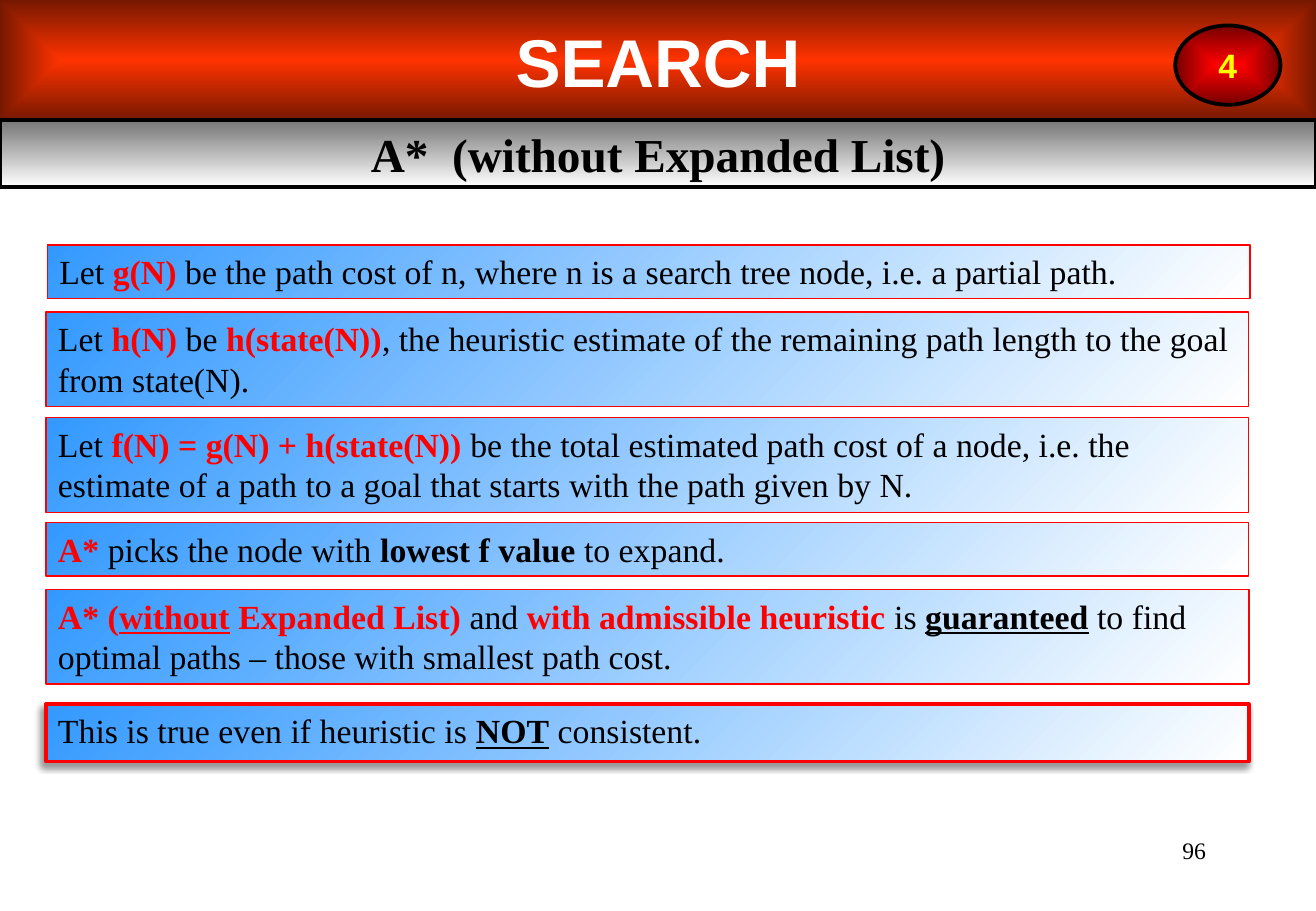
from dataclasses import dataclass

from lxml.etree import SubElement
from pptx import Presentation
from pptx.dml.color import RGBColor
from pptx.enum.shapes import MSO_SHAPE
from pptx.enum.text import MSO_ANCHOR, MSO_AUTO_SIZE, PP_ALIGN
from pptx.oxml.ns import qn
from pptx.util import Inches, Pt

COLORS = {
    "black": "000000", "white": "FFFFFF", "red": "FF0000", "yellow": "FFFF00",
    "orange": "FF3300", "rust": "761800", "maroon": "760000",
    "gray": "767676", "blue": "3399FF",
}
SERIF, SANS = "Times New Roman", "Arial"

presentation = Presentation()
presentation.slide_width, presentation.slide_height = Inches(10.83), Inches(7.5)
slide = presentation.slides.add_slide(presentation.slide_layouts[6])


@dataclass
class Area:
    """A place on the slide, in percent of its width and height."""
    left: float
    top: float
    width: float
    height: float

    def lengths(self) -> tuple:
        across, down = presentation.slide_width / 100, presentation.slide_height / 100
        return (int(self.left * across), int(self.top * down),
                int(self.width * across), int(self.height * down))


@dataclass
class Words:
    text: str
    color: str = "black"
    bold: bool = False
    underline: bool = False


@dataclass
class Gradient:
    start: str
    end: str
    angle: int | None = None  # counter-clockwise; None spreads from the centre


@dataclass
class Statement:
    top: float
    height: float
    runs: list[Words]
    left: float = 3.5
    line_width: float = 0.75
    shadow: bool = False


def rgb(name: str) -> RGBColor:
    return RGBColor.from_string(COLORS[name])


def write(shape, runs: list[Words], size: float, font: str, alignment=PP_ALIGN.LEFT) -> None:
    paragraph = shape.text_frame.paragraphs[0]
    paragraph.alignment = alignment
    for words in runs:
        run = paragraph.add_run()
        run.text = words.text
        run.font.size, run.font.name = Pt(size), font
        run.font.bold, run.font.underline = words.bold, words.underline
        run.font.color.rgb = rgb(words.color)


def add_panel(kind, area: Area, gradient: Gradient, line: str | None, line_width: float = 2.25):
    shape = slide.shapes.add_shape(kind, *area.lengths())
    shape.shadow.inherit = False
    shape.text_frame.word_wrap = True
    shape.fill.gradient()
    for stop, name in zip(shape.fill.gradient_stops, (gradient.start, gradient.end)):
        stop.color.rgb = rgb(name)
    if gradient.angle is None:
        grad_fill = shape._element.spPr.find(qn("a:gradFill"))
        grad_fill.remove(grad_fill.find(qn("a:lin")))
        path_element = SubElement(grad_fill, qn("a:path"), {"path": "shape"})
        SubElement(path_element, qn("a:fillToRect"), dict.fromkeys("ltrb", "50000"))
    else:
        shape.fill.gradient_angle = gradient.angle
    if line:
        shape.line.color.rgb = rgb(line)
        shape.line.width = Pt(line_width)
    else:
        shape.line.fill.background()
    return shape


def add_heading(kind, area: Area, gradient: Gradient, line: str | None,
                words: Words, size: float, font: str):
    shape = add_panel(kind, area, gradient, line)
    shape.text_frame.vertical_anchor = MSO_ANCHOR.MIDDLE
    write(shape, [words], size, font, PP_ALIGN.CENTER)
    return shape


def add_shadow(shape) -> None:
    effects = shape._element.spPr.find(qn("a:effectLst"))
    outer = SubElement(effects, qn("a:outerShdw"), {
        "blurRad": str(Pt(4)), "dist": str(Pt(3)), "dir": str(135 * 60000),
        "algn": "tr", "rotWithShape": "0"})
    color = SubElement(outer, qn("a:srgbClr"), {"val": COLORS["black"]})
    SubElement(color, qn("a:alpha"), {"val": "40000"})


def add_statement(statement: Statement) -> None:
    area = Area(statement.left, statement.top, 91.4, statement.height)
    shape = add_panel(MSO_SHAPE.RECTANGLE, area, Gradient("blue", "white", 315),
                      "red", statement.line_width)
    shape.text_frame.vertical_anchor = MSO_ANCHOR.TOP
    shape.text_frame.auto_size = MSO_AUTO_SIZE.SHAPE_TO_FIT_TEXT
    write(shape, statement.runs, 20, SERIF)
    if statement.shadow:
        add_shadow(shape)


def key(text: str, underline: bool = False) -> Words:
    return Words(text, "red", True, underline)


ONE_LINE, TWO_LINES = 5.9, 10.4
STATEMENTS = [
    Statement(26.9, ONE_LINE, [
        Words("Let "), key("g(N)"),
        Words(" be the path cost of n, where n is a search tree node, i.e. a partial path."),
    ], left=3.6),
    Statement(34.25, TWO_LINES, [
        Words("Let "), key("h(N) "), Words("be "), key("h(state(N))"),
        Words(", the heuristic estimate of the remaining path length to the goal from state(N)."),
    ]),
    Statement(45.85, TWO_LINES, [
        Words("Let "), key("f(N) = g(N) + h(state(N))"),
        Words(" be the total estimated path cost of a node, i.e. the estimate of a path "
              "to a goal that starts with the path given by N."),
    ]),
    Statement(57.35, ONE_LINE, [
        key("A* "), Words("picks the node with "),
        Words("lowest f value ", bold=True), Words("to expand."),
    ]),
    Statement(64.7, TWO_LINES, [
        key("A* ("), key("without", underline=True), key(" Expanded List) "), Words("and "),
        key("with admissible heuristic "), Words("is "),
        Words("guaranteed", bold=True, underline=True),
        Words(" to find optimal paths – those with smallest path cost."),
    ], line_width=1),
    Statement(77.3, 6.3, [
        Words("This is true even if heuristic is "),
        Words("NOT", bold=True, underline=True), Words(" consistent."),
    ], line_width=2.25, shadow=True),
]

# Page number
page_number = slide.shapes.add_textbox(*Area(71.65, 91.1, 20.9, 6.7).lengths())
page_number.text_frame.word_wrap = True
write(page_number, [Words("96")], 14, SERIF, PP_ALIGN.RIGHT)

# Title bar, subtitle bar and chapter badge
add_heading(MSO_SHAPE.RECTANGLE, Area(0, 0, 100, 13.2), Gradient("orange", "rust"), None,
            Words("SEARCH", "white", True), 40, SANS)
add_heading(MSO_SHAPE.RECTANGLE, Area(0, 13.2, 100, 7.3), Gradient("gray", "white", 270), "black",
            Words("A*  (without Expanded List)", bold=True), 28, SERIF)
badge = add_heading(MSO_SHAPE.OVAL, Area(89.3, 2.8, 8, 8.7), Gradient("red", "maroon"), "black",
                    Words("4", "yellow", True), 20, SANS)
badge.text_frame.word_wrap = False

# Statements
for statement in STATEMENTS:
    add_statement(statement)

presentation.save("out.pptx")
